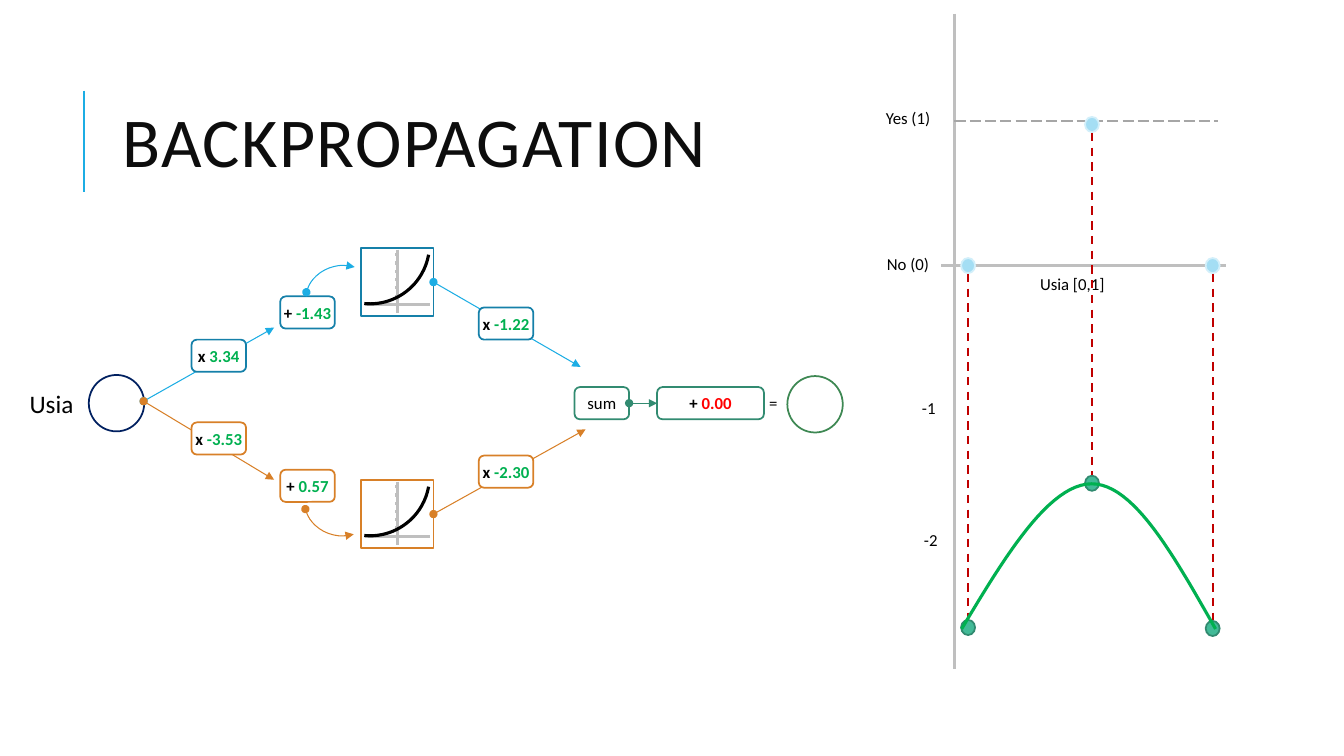
from lxml import etree
from pptx import Presentation
from pptx.dml.color import RGBColor
from pptx.enum.dml import MSO_LINE
from pptx.enum.shapes import MSO_CONNECTOR, MSO_SHAPE
from pptx.enum.text import MSO_ANCHOR, PP_ALIGN
from pptx.oxml.ns import qn
from pptx.util import Pt

STRAIGHT = MSO_CONNECTOR.STRAIGHT
RECTANGLE, ROUNDED = MSO_SHAPE.RECTANGLE, MSO_SHAPE.ROUNDED_RECTANGLE
OVAL, ARC = MSO_SHAPE.OVAL, MSO_SHAPE.ARC
DASH, LONG_DASH = MSO_LINE.DASH, MSO_LINE.LONG_DASH
MIDDLE, TOP = MSO_ANCHOR.MIDDLE, MSO_ANCHOR.TOP
LEFT, CENTER, RIGHT = PP_ALIGN.LEFT, PP_ALIGN.CENTER, PP_ALIGN.RIGHT
SIDE_LEFT, SIDE_RIGHT = 1, 3

FONT = "Calibri"
WHITE = RGBColor(0xFF, 0xFF, 0xFF)
BLACK = RGBColor(0x00, 0x00, 0x00)
TITLE_INK = RGBColor(0x0D, 0x0D, 0x0D)
BLUE = RGBColor(0x1C, 0xAD, 0xE4)
DARK_BLUE = RGBColor(0x15, 0x80, 0xA9)
NAVY = RGBColor(0x00, 0x20, 0x60)
ORANGE = RGBColor(0xD8, 0x80, 0x28)
TEAL = RGBColor(0x32, 0x8B, 0x71)
OUTPUT_GREEN = RGBColor(0x3E, 0x88, 0x53)
GREEN = RGBColor(0x00, 0xB0, 0x50)
RED = RGBColor(0xFF, 0x00, 0x00)
DARK_RED = RGBColor(0xC0, 0x00, 0x00)
AXIS_GRAY = RGBColor(0xBF, 0xBF, 0xBF)
GUIDE_GRAY = RGBColor(0xA6, 0xA6, 0xA6)
OBSERVED, OBSERVED_EDGE = RGBColor(0xA4, 0xDE, 0xF4), RGBColor(0xD2, 0xEF, 0xFA)
FITTED, FITTED_EDGE = RGBColor(0x42, 0xBA, 0x97), RGBColor(0x31, 0x8A, 0x70)

NODE_WIDTH, NODE_HEIGHT = 39, 23
BRANCHES = [
    {"edge": DARK_BLUE, "arrow": BLUE, "icon": 0, "entry": (181.8, 57), "exit": (400.7, 85.1),
     "nodes": [(122.8, 65.6, "x ", "3.34"), (186.2, 34.7, "+ ", "-1.43"), (328, 42.6, "x ", "-1.22")],
     "bend": (205.6, 10.9), "rotation": 285.6, "flipped": False},
    {"edge": ORANGE, "arrow": ORANGE, "icon": 165.7, "entry": (181.8, 165.7), "exit": (404.3, 129.7),
     "nodes": [(122.8, 124.7, "x ", "-3.53"), (186.2, 158.5, "+ ", "0.57"), (328, 148.4, "x ", "-2.30")],
     "bend": (204.9, 150.6), "rotation": 74.4, "flipped": True},
]


def apply_format(target, values):
    for name, value in values.items():
        setattr(target, name, value)


def add_arrowheads(shape):
    outline = shape.line._get_or_add_ln()
    for tag, kind in (("a:headEnd", "oval"), ("a:tailEnd", "triangle")):
        etree.SubElement(outline, qn(tag)).set("type", kind)


def add_line(shapes, start, end, color, weight, dash=None, arrow=False):
    line = shapes.add_connector(STRAIGHT, *(Pt(value) for value in (*start, *end)))
    line.line.color.rgb = color
    line.line.width = Pt(weight)
    if dash:
        line.line.dash_style = dash
    if arrow:
        add_arrowheads(line)
    etree.SubElement(line._element.spPr, qn("a:effectLst"))
    return line


def style_shape(shape, edge, weight, fill=None):
    shape.shadow.inherit = False
    if fill is None:
        shape.fill.background()
    else:
        shape.fill.solid()
        shape.fill.fore_color.rgb = fill
    shape.line.color.rgb = edge
    shape.line.width = Pt(weight)


def add_shape(slide, kind, left, top, width, height, edge, weight=1.25, fill=WHITE):
    shape = slide.shapes.add_shape(kind, Pt(left), Pt(top), Pt(width), Pt(height))
    style_shape(shape, edge, weight, fill)
    return shape


def write_text(frame, parts, size=12, align=LEFT, anchor=TOP, bold=False):
    apply_format(frame, {"word_wrap": True, "vertical_anchor": anchor})
    paragraph = frame.paragraphs[0]
    paragraph.alignment = align
    for text, color in parts:
        run = paragraph.add_run()
        run.text = text
        apply_format(run.font, {"name": FONT, "size": Pt(size), "bold": bold})
        run.font.color.rgb = color
    return paragraph


def add_label(slide, text, left, top, width, height=21.6, color=BLACK, **style):
    box = slide.shapes.add_textbox(Pt(left), Pt(top), Pt(width), Pt(height))
    return write_text(box.text_frame, [(text, color)], **style)


def add_node(slide, left, top, parts, edge, width=NODE_WIDTH, bold=True):
    node = add_shape(slide, ROUNDED, left, top, width, NODE_HEIGHT, edge)
    margins = ("margin_left", "margin_right", "margin_top", "margin_bottom")
    apply_format(node.text_frame, dict.fromkeys(margins, 0))
    write_text(node.text_frame, parts, align=CENTER, anchor=MIDDLE, bold=bold)
    return node


def draw_title(slide, left, top, width, height):
    add_line(slide.shapes, (left, top + 18.7), (left, top + 90.7), BLUE, 1.5)
    paragraph = add_label(slide, "BACKPROPAGATION", left + 20.6, top, width - 20.6, height,
                          TITLE_INK, size=50, anchor=MIDDLE)
    paragraph.line_spacing = 0.8
    paragraph.runs[0].font._element.set("spc", "100")


def draw_activation(slide, left, top, width, height, edge):
    frame = add_shape(slide, RECTANGLE, left, top, width, height, edge)
    axes = slide.shapes.add_group_shape().shapes
    axis_x, axis_y = left + width / 2, top + 40.3
    segments = [((left + 2.9, axis_y), (left + 49.7, axis_y)),
                ((axis_x, top + 1.4), (axis_x, top + 46.8))]
    for index in range(6):
        tick_x, tick_y = left + 9.4 + 6.65 * index, top + 5 + 5.9 * index
        segments.append(((tick_x, axis_y), (tick_x, axis_y + 1.4)))
        segments.append(((axis_x, tick_y), (axis_x - 1.4, tick_y)))
    for start, end in segments:
        add_line(axes, start, end, AXIS_GRAY, 2.25)
    curve = add_shape(slide, ARC, left - 36, top - 45, 85, 85, BLACK, 2.25, None)
    curve.rotation = 90
    curve.adjustments[0], curve.adjustments[1] = 168.051, 3.314
    return frame


def draw_branch(slide, left, top, branch):
    def place(point):
        return left + point[0], top + point[1]

    color = branch["arrow"]
    icon = draw_activation(slide, left + 243.8, top + branch["icon"], 51.8, 49, branch["edge"])
    add_line(slide.shapes, place((88.6, 109.6)), place(branch["entry"]), color, 0.75, arrow=True)
    outgoing = add_line(slide.shapes, place((295.6, branch["icon"] + 24.5)), place(branch["exit"]),
                        color, 0.75, arrow=True)
    outgoing.begin_connect(icon, SIDE_RIGHT)
    for x, y, sign, value in branch["nodes"]:
        add_node(slide, *place((x, y)), [(sign, BLACK), (value, GREEN)], branch["edge"])
    bend = add_shape(slide, ARC, *place(branch["bend"]), 53.3, 56.9, color, 0.75, None)
    bend.rotation = branch["rotation"]
    if branch["flipped"]:
        bend._element.spPr.xfrm.set("flipV", "1")
    add_arrowheads(bend)


def draw_network(slide, left, top, width, height):
    middle = top + height / 2
    circle_width, circle_height = 39.6, 40.3
    circle_top = middle + 1.5 - circle_height / 2
    add_label(slide, "Usia", left, middle - 13, 51.1, 28.8, size=18)
    add_shape(slide, OVAL, left + 49.4, circle_top, circle_width, circle_height, NAVY)
    for branch in BRANCHES:
        draw_branch(slide, left, top, branch)
    node_top = middle - 10
    total = add_node(slide, left + 396.4, node_top, [("sum", BLACK)], TEAL, bold=False)
    bias = add_node(slide, left + 455.4, node_top, [("+ ", BLACK), ("0.00", RED)], TEAL, 76.3)
    link = add_line(slide.shapes, (left + 435.4, middle), (left + 455.4, middle), TEAL, 0.75, arrow=True)
    link.begin_connect(total, SIDE_RIGHT)
    link.end_connect(bias, SIDE_LEFT)
    add_label(slide, "=", left + 528.2, middle - 9.5, 20.2)
    add_shape(slide, OVAL, left + width - circle_width, circle_top + 0.8, circle_width,
              circle_height, OUTPUT_GREEN)


def bezier_point(controls, t):
    weights = ((1 - t) ** 3, 3 * t * (1 - t) ** 2, 3 * t * t * (1 - t), t ** 3)
    return tuple(sum(w * point[axis] for w, point in zip(weights, controls)) for axis in (0, 1))


def draw_plot(slide, left, top, width, height):
    shapes = slide.shapes
    axis_x, zero_y, one_y = left + 56.8, top + 179.4, top + 76.4
    add_line(shapes, (left + 47.5, zero_y), (left + width, zero_y), AXIS_GRAY, 2.25)
    add_line(shapes, (axis_x, top), (axis_x, top + height), AXIS_GRAY, 2.25)
    add_line(shapes, (axis_x, one_y), (left + 244.8, one_y), GUIDE_GRAY, 1, LONG_DASH)
    for text, x, y, label_width, align in (
            ("Yes (1)", 0.7, 63.4, 50.4, LEFT), ("No (0)", 1.4, 167.8, 52.6, LEFT),
            ("Usia [0,1]", 110.8, 182.2, 87.1, LEFT),
            ("-1", 0, 270.8, 50.4, RIGHT), ("-2", 1.4, 365.1, 50.4, RIGHT)):
        add_label(slide, text, left + x, top + y, label_width, align=align)

    for x, observed_y, fitted_y in ((66.5, 179.7, 438.2), (155, 78.9, 335.2), (241.2, 179.7, 438.9)):
        for y, fill, edge in ((observed_y, OBSERVED, OBSERVED_EDGE), (fitted_y, FITTED, FITTED_EDGE)):
            add_shape(slide, OVAL, left + x - 5, top + y - 5.4, 10, 10.8, edge, fill=fill)
        add_line(shapes, (left + x, top + observed_y + 6), (left + x, top + fitted_y - 6),
                 DARK_RED, 1.5, DASH)

    halves = (((61.9, 439.3), (92.8, 387.4), (124.5, 335.6), (154.8, 335.6)),
              ((154.8, 335.6), (185, 335.6), (213.8, 387.4), (243.3, 439.3)))
    steps = 24
    points = [bezier_point(half, step / steps) for half in halves for step in range(steps + 1)]
    outline = [(Pt(left + x), Pt(top + y)) for x, y in points]
    builder = shapes.build_freeform(*outline[0])
    builder.add_line_segments(outline[1:], close=False)
    style_shape(builder.convert_to_shape(), GREEN, 2.25)


def main():
    presentation = Presentation()
    apply_format(presentation, {"slide_width": Pt(960), "slide_height": Pt(540)})
    slide = presentation.slides.add_slide(presentation.slide_layouts[6])
    draw_title(slide, 60, 46.1, 786, 118.1)
    draw_network(slide, 14, 177, 588, 219)
    draw_plot(slide, 625, 10, 250.5, 468)
    presentation.save("out.pptx")


if __name__ == "__main__":
    main()
